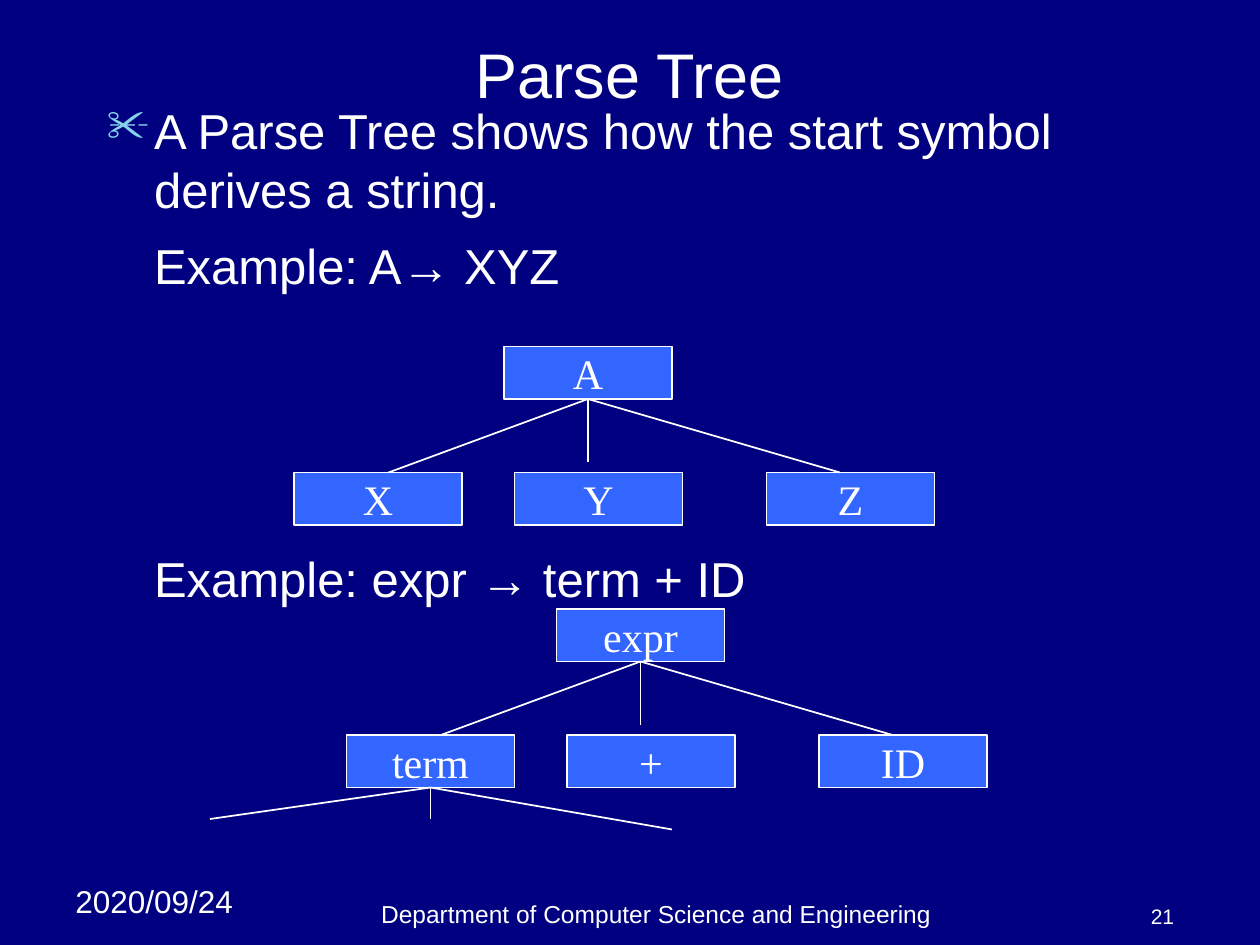
from dataclasses import dataclass

from lxml import etree
from pptx import Presentation, util as u
from pptx.dml.color import RGBColor
from pptx.enum import shapes, text
from pptx.oxml import ns

PX = 7620  # 120 px to the inch
COLORS = {"page": "000080", "node": "3366FF", "ink": "FFFFFF", "bullet": "86D1EC"}
NODE_WIDTH, NODE_HEIGHT = 160, 50


@dataclass
class Label:
    words: str
    left: int
    top: int
    width: int
    height: int
    size: int
    align: text.PP_ALIGN
    anchor: text.MSO_ANCHOR


@dataclass
class Tree:
    left: int
    top: int
    root: str
    leaves: tuple[str, str, str]


@dataclass
class BodyLine:
    words: str
    before: int
    bullet: str = ""


def px(value: int) -> u.Emu:
    return u.Emu(value * PX)


def color(name: str) -> RGBColor:
    return RGBColor.from_string(COLORS[name])


def set_font(para, face: str, size: int) -> None:
    para.font.name = face
    para.font.size = u.Pt(size)
    para.font.color.rgb = color("ink")


def add_label(page, label: Label) -> None:
    box = page.shapes.add_textbox(px(label.left), px(label.top),
                                  px(label.width), px(label.height))
    frame = box.text_frame
    frame.word_wrap = True
    frame.vertical_anchor = label.anchor
    para = frame.paragraphs[0]
    para.text = label.words
    para.alignment = label.align
    set_font(para, "Arial", label.size)


def add_bullet(props, mark: str) -> None:
    holder = etree.SubElement(props, ns.qn("a:buClr"))
    etree.SubElement(holder, ns.qn("a:srgbClr"), val=COLORS["bullet"])
    etree.SubElement(props, ns.qn("a:buSzPct"), val="90000")
    etree.SubElement(props, ns.qn("a:buChar"), char=mark)


def add_body(page, lines: list[BodyLine]) -> None:
    box = page.shapes.add_textbox(px(90), px(90), px(1020), px(700))
    frame = box.text_frame
    frame.word_wrap = True
    for index, line in enumerate(lines):
        para = frame.add_paragraph() if index else frame.paragraphs[0]
        para.text = line.words
        para.space_before = u.Pt(line.before)
        props = para._p.get_or_add_pPr()
        props.set("marL", str(px(45)))
        if line.bullet:
            props.set("indent", str(px(-45)))
            add_bullet(props, line.bullet)
        set_font(para, "Arial", 28)


def add_node(page, words: str, left: int, top: int) -> None:
    box = page.shapes.add_shape(shapes.MSO_SHAPE.RECTANGLE, px(left), px(top),
                                px(NODE_WIDTH), px(NODE_HEIGHT))
    box.shadow.inherit = False
    box.fill.solid()
    box.fill.fore_color.rgb = color("node")
    box.line.color.rgb = color("ink")
    box.line.width = u.Pt(1)
    frame = box.text_frame
    frame.word_wrap = False
    frame.vertical_anchor = text.MSO_ANCHOR.MIDDLE
    para = frame.paragraphs[0]
    para.text = words
    para.alignment = text.PP_ALIGN.CENTER
    set_font(para, "Times New Roman", 24)


def add_branches(page, left: int, top: int, ends: list[tuple[int, int]]) -> None:
    """Draw lines from one point to ends given as offsets from it."""
    for across, down in ends:
        line = page.shapes.add_connector(
            shapes.MSO_CONNECTOR.STRAIGHT, px(left), px(top),
            px(left + across), px(top + down))
        line.line.color.rgb = color("ink")
        line.line.width = u.Pt(1)
        etree.SubElement(line._element.spPr, ns.qn("a:effectLst"))


def add_tree(page, tree: Tree) -> None:
    add_node(page, tree.root, tree.left, tree.top)
    for words, offset in zip(tree.leaves, (-200, 10, 250)):
        add_node(page, words, tree.left + offset, tree.top + 120)
    add_branches(page, tree.left + NODE_WIDTH // 2, tree.top + NODE_HEIGHT,
                 [(-190, 70), (0, 60), (240, 70)])


def main() -> None:
    deck = Presentation()
    deck.slide_width, deck.slide_height = px(1200), px(900)
    page = deck.slides.add_slide(deck.slide_layouts[6])
    page.background.fill.solid()
    page.background.fill.fore_color.rgb = color("page")

    # Footer and title
    align, anchor = text.PP_ALIGN, text.MSO_ANCHOR
    for label in (
        Label("2020/09/24", 60, 834, 190, 48, 18, align.LEFT, anchor.TOP),
        Label("Department of Computer Science and Engineering",
              220, 850, 810, 40, 14, align.CENTER, anchor.BOTTOM),
        Label("21", 1050, 850, 80, 40, 12, align.RIGHT, anchor.BOTTOM),
        Label("Parse Tree", 90, 30, 1020, 80, 36, align.CENTER, anchor.MIDDLE),
    ):
        add_label(page, label)

    # Body text, with room for the first tree above the last line
    add_body(page, [
        BodyLine("A Parse Tree shows how the start symbol derives a string.", 7, "✂"),
        BodyLine("Example: A→ XYZ", 10),
        BodyLine("Example: expr → term + ID", 145),
    ])

    # Trees, and the open branches below "term"
    add_tree(page, Tree(480, 330, "A", ("X", "Y", "Z")))
    add_tree(page, Tree(530, 580, "expr", ("term", "+", "ID")))
    add_branches(page, 410, 750, [(-210, 30), (0, 30), (230, 40)])

    deck.save("out.pptx")


if __name__ == "__main__":
    main()
